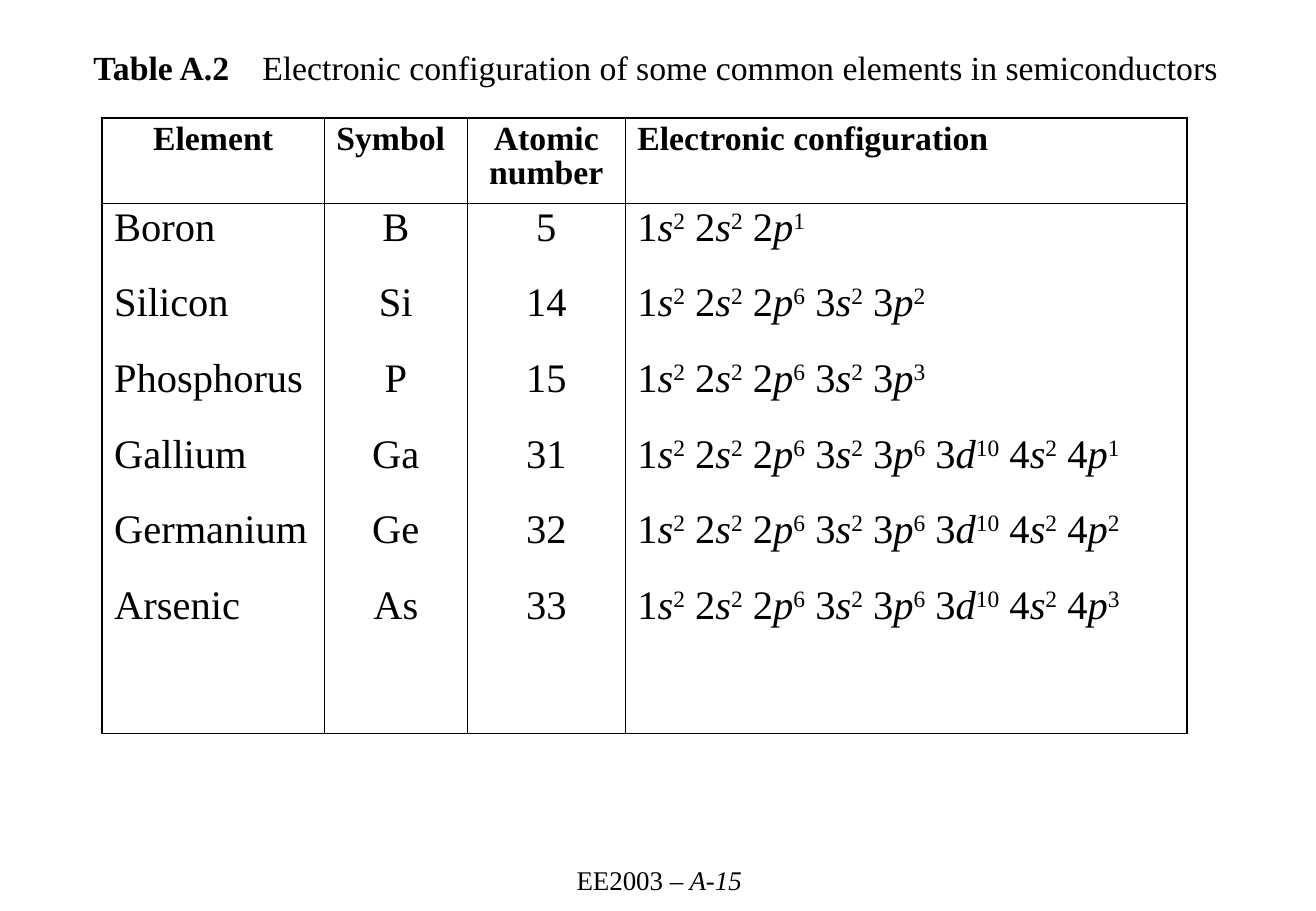
from dataclasses import dataclass
from typing import Any

from lxml import etree
from pptx import Presentation
from pptx import util as u
from pptx.dml import color
from pptx.enum import text
from pptx.oxml import ns

EMU_PER_PX = 9144  # 100 px to the inch


@dataclass(frozen=True)
class Theme:
    font: str = "Times New Roman"
    ink: str = "000000"
    heading_size: int = 20
    body_size: int = 24
    footer_size: int = 16
    inner_line: float = 0.45
    outer_line: float = 1.08
    line_spacing: float = 0.9


@dataclass(frozen=True)
class Span:
    words: str
    bold: bool = False
    italic: bool = False
    raised: bool = False


@dataclass(frozen=True)
class Element:
    name: str
    symbol: str
    number: int
    orbitals: str


@dataclass(frozen=True)
class Column:
    heading: str
    width: int
    heading_align: Any
    body_align: Any


THEME = Theme()
LEFT, CENTER = text.PP_ALIGN.LEFT, text.PP_ALIGN.CENTER
COLUMNS = [
    Column("Element", 183, CENTER, LEFT),
    Column("Symbol", 118, LEFT, CENTER),
    Column("Atomic number", 130, CENTER, CENTER),
    Column("Electronic configuration", 463, LEFT, LEFT),
]
ROW_HEIGHTS = [70, 437]
ELEMENTS = [
    Element("Boron", "B", 5, "1s2 2s2 2p1"),
    Element("Silicon", "Si", 14, "1s2 2s2 2p6 3s2 3p2"),
    Element("Phosphorus", "P", 15, "1s2 2s2 2p6 3s2 3p3"),
    Element("Gallium", "Ga", 31, "1s2 2s2 2p6 3s2 3p6 3d10 4s2 4p1"),
    Element("Germanium", "Ge", 32, "1s2 2s2 2p6 3s2 3p6 3d10 4s2 4p2"),
    Element("Arsenic", "As", 33, "1s2 2s2 2p6 3s2 3p6 3d10 4s2 4p3"),
]


def px(length: int) -> u.Emu:
    return u.Emu(length * EMU_PER_PX)


def set_all(target: Any, values: dict[str, Any]) -> None:
    for name, value in values.items():
        setattr(target, name, value)


def add_spans(para: Any, spans: list[Span], size: int) -> None:
    for span in spans:
        run = para.add_run()
        run.text = span.words
        set_all(run.font, {"name": THEME.font, "size": u.Pt(size),
                           "bold": span.bold, "italic": span.italic})
        run.font.color.rgb = color.RGBColor.from_string(THEME.ink)
        if span.raised:
            run._r.get_or_add_rPr().set("baseline", "30000")


def fill_frame(frame: Any, lines: list[list[Span]], size: int, align: Any,
               before: float = 0, after: float = 0) -> None:
    for index, spans in enumerate(lines):
        para = frame.add_paragraph() if index else frame.paragraphs[0]
        set_all(para, {"alignment": align, "line_spacing": THEME.line_spacing,
                       "space_before": u.Pt(before if index else 0),
                       "space_after": u.Pt(after)})
        add_spans(para, spans, size)


def orbital_spans(orbitals: str) -> list[Span]:
    spans = []
    for index, orbital in enumerate(orbitals.split()):
        shell, letter, count = orbital[0], orbital[1], orbital[2:]
        spans += [Span(f" {shell}" if index else shell),
                  Span(letter, italic=True), Span(count, raised=True)]
    return spans


def set_borders(cell: Any, widths: dict[str, float]) -> None:
    properties = cell._tc.get_or_add_tcPr()
    for index, (side, width) in enumerate(widths.items()):
        line = etree.Element(ns.qn(f"a:ln{side}"), w=str(int(u.Pt(width))))
        fill = etree.SubElement(line, ns.qn("a:solidFill"))
        etree.SubElement(fill, ns.qn("a:srgbClr"), val=THEME.ink)
        properties.insert(index, line)


def add_caption(page: Any) -> None:
    box = page.shapes.title
    set_all(box, {"left": px(77), "top": px(42), "width": px(1000), "height": px(34)})
    frame = box.text_frame
    set_all(frame, {"margin_left": 0, "margin_right": 0, "margin_top": 0,
                    "margin_bottom": 0, "word_wrap": True,
                    "auto_size": text.MSO_AUTO_SIZE.NONE,
                    "vertical_anchor": text.MSO_ANCHOR.TOP})
    # Tab stop between the table number and its caption
    stops = etree.SubElement(frame.paragraphs[0]._p.get_or_add_pPr(), ns.qn("a:tabLst"))
    etree.SubElement(stops, ns.qn("a:tab"), pos=str(px(139)), algn="l")
    caption = [Span("Table A.2", bold=True),
               Span("\tElectronic configuration of some common elements in semiconductors")]
    fill_frame(frame, [caption], THEME.heading_size, LEFT)


def add_element_table(page: Any) -> None:
    width = sum(column.width for column in COLUMNS)
    table = page.shapes.add_table(len(ROW_HEIGHTS), len(COLUMNS), px(84), px(97),
                                  px(width), px(sum(ROW_HEIGHTS))).table
    set_all(table, {"first_row": False, "horz_banding": False})
    for row, height in zip(table.rows, ROW_HEIGHTS):
        row.height = px(height)

    # One list of lines for each column of the body row
    bodies = [
        [[Span(element.name)] for element in ELEMENTS],
        [[Span(element.symbol)] for element in ELEMENTS],
        [[Span(str(element.number))] for element in ELEMENTS],
        [orbital_spans(element.orbitals) for element in ELEMENTS],
    ]
    last = len(COLUMNS) - 1
    for index, (column, body) in enumerate(zip(COLUMNS, bodies)):
        table.columns[index].width = px(column.width)
        head_cell, body_cell = table.cell(0, index), table.cell(1, index)
        fill_frame(head_cell.text_frame, [[Span(column.heading, bold=True)]],
                   THEME.heading_size, column.heading_align, after=5)
        fill_frame(body_cell.text_frame, body, THEME.body_size,
                   column.body_align, before=15, after=6)
        for cell, is_head in ((head_cell, True), (body_cell, False)):
            cell.fill.background()
            outer = {"L": index == 0, "R": index == last, "T": is_head, "B": not is_head}
            set_borders(cell, {side: THEME.outer_line if edge else THEME.inner_line
                               for side, edge in outer.items()})


def add_footer(page: Any) -> None:
    box = page.shapes.add_textbox(px(427), px(706), px(232), px(37))
    frame = box.text_frame
    set_all(frame, {"word_wrap": False, "vertical_anchor": text.MSO_ANCHOR.MIDDLE})
    para = frame.paragraphs[0]
    para.alignment = CENTER
    add_spans(para, [Span("EE2003"), Span(" – A-15", italic=True)], THEME.footer_size)


def main() -> None:
    deck = Presentation()
    set_all(deck, {"slide_width": px(1084), "slide_height": px(750)})
    page = deck.slides.add_slide(deck.slide_layouts[5])
    add_caption(page)
    add_element_table(page)
    add_footer(page)
    deck.save("out.pptx")


if __name__ == "__main__":
    main()
